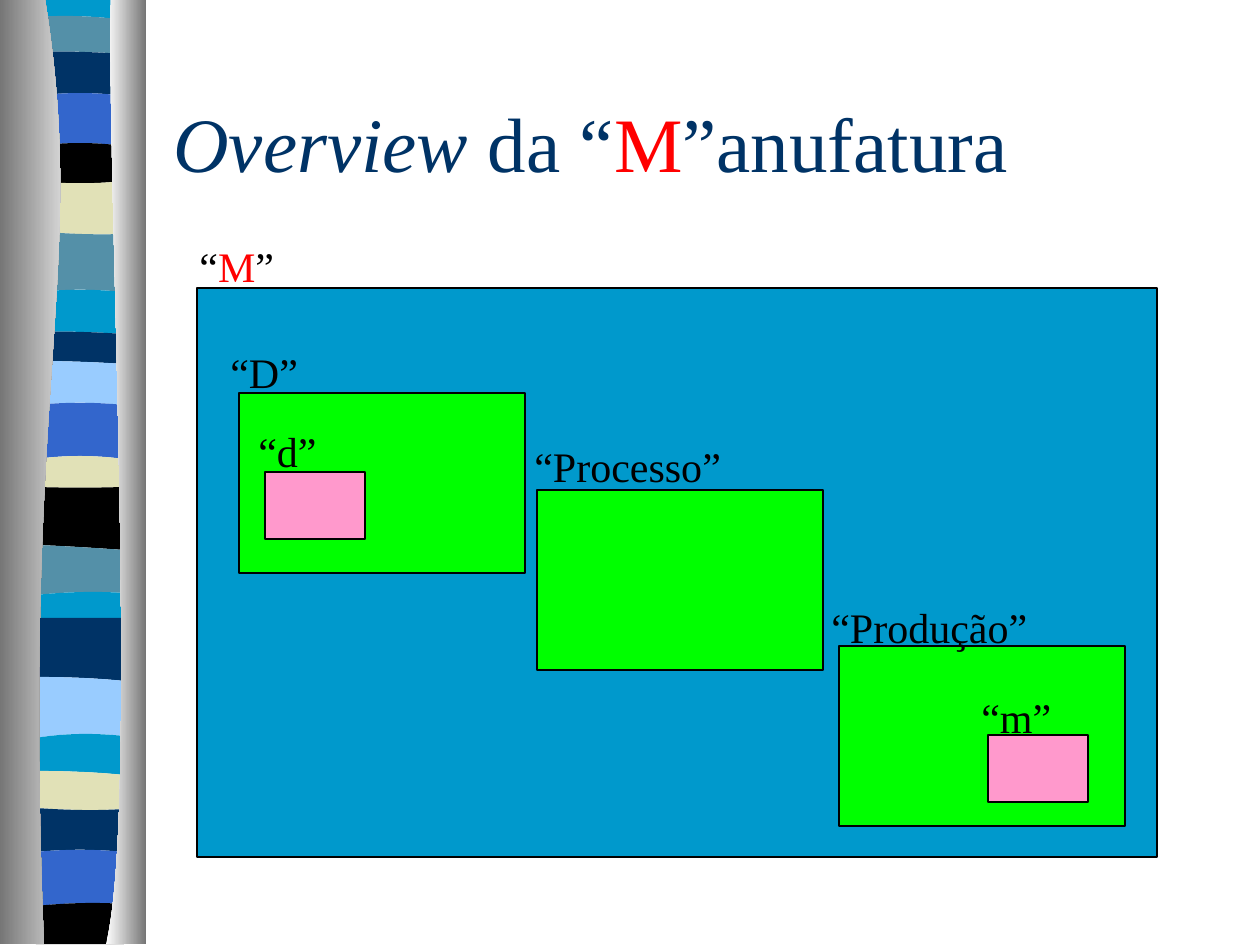
from pptx import Presentation
from pptx.dml.color import RGBColor
from pptx.enum.shapes import MSO_SHAPE as Preset
from pptx.enum.text import MSO_ANCHOR as Anchor
from pptx.oxml.ns import qn
from pptx.util import Emu, Pt

SCALE = 914400 / 126
FONT = "Times New Roman"
BLACK, RED, WHITE, GREY = "000000", "FF0000", "FFFFFF", "767676"
NAVY, SKY, TEAL, BLUE = "003366", "0099CC", "5490A8", "3366CC"
SAND, PALE, GREEN, PINK = "E1E1B7", "99CCFF", "00FF00", "FF99CC"

BANDS = [
    (SKY, (-1, -1, -1)), (TEAL, (17, 16, 20)), (NAVY, (52, 52, 54)),
    (BLUE, (96, 93, 96)), (BLACK, (146, 143, 146)), (SAND, (181, 183, 181)),
    (TEAL, (231, 234, 234)), (SKY, (292, 290, 292)), (NAVY, (332, 332, 334)),
    (PALE, (361, 362, 364)), (BLUE, (405, 403, 405)), (SAND, (459, 456, 459)),
    (BLACK, (487, 488, 487)), (TEAL, (545, 547, 550)), (SKY, (595, 592, 593)),
    (NAVY, (618, 618, 618)), (PALE, (677, 678, 681)), (SKY, (738, 734, 736)),
    (SAND, (771, 772, 775)), (NAVY, (808, 810, 809)), (BLUE, (852, 850, 852)),
    (BLACK, (906, 903, 904)),
]


def px(value):
    """Turn px into EMU."""
    return Emu(round(value * SCALE))


def color(value):
    """Turn a hex string into a colour."""
    return RGBColor.from_string(value)


def add_outline(slide, start, segments):
    """Add a closed outline of lines (one point) and cubic curves (three points)."""
    builder = slide.shapes.build_freeform(*start, scale=SCALE)
    points = [point for segment in segments for point in segment]
    builder.add_line_segments(points, close=True)
    shape = builder.convert_to_shape()
    lines = iter(list(shape._element.iter(qn("a:lnTo"))))
    for segment in segments:
        parts = [next(lines) for _ in segment]
        if len(parts) == 3:
            cubic = parts[0].makeelement(qn("a:cubicBezTo"))
            parts[0].addprevious(cubic)
            for part in parts:
                cubic.append(part[0])
                part.getparent().remove(part)
    shape.shadow.inherit = False
    shape.line.fill.background()
    return shape


def band_edge(left, width, heights):
    """Return the four curve points through left, middle and right heights."""
    start, middle, end = heights
    control = 2 * middle - (start + end) / 2
    return [
        (left, start),
        (left + width / 3, (start + 2 * control) / 3),
        (left + width * 2 / 3, (end + 2 * control) / 3),
        (left + width, end),
    ]


def add_curtain(slide, start, segments, colors):
    """Add a curtain shaded from left to right."""
    fill = add_outline(slide, start, segments).fill
    fill.gradient()
    fill.gradient_angle = 0
    for stop, value in zip(fill.gradient_stops, colors):
        stop.color.rgb = color(value)


def add_side_strip(slide, left, top, width, height):
    """Add the striped strip between two curtains."""
    bottom, right = top + height, left + width
    edges = [heights for _, heights in BANDS[1:]] + [(bottom,) * 3]
    for (fill, upper), lower in zip(BANDS, edges):
        start, *upper_curve = band_edge(left + 36, 88, upper)
        corner, *lower_curve = band_edge(left + 36, 88, lower)[::-1]
        shape = add_outline(slide, start, [upper_curve, [corner], lower_curve])
        shape.fill.solid()
        shape.fill.fore_color.rgb = color(fill)
    left_curve = [(left + 89, top + 273), (left + 21, top + 374), (left + 44, bottom)]
    right_curve = [(right - 40, top + 159), (right - 6, top + 815), (right - 40, bottom)]
    add_curtain(slide, (left + 45, top),
                [left_curve, [(left, bottom)], [(left, top)]], (GREY, WHITE))
    add_curtain(slide, (right - 35, top),
                [right_curve, [(right, bottom)], [(right, top)]], (WHITE, GREY))


def add_text(slide, box, runs, size, anchor=Anchor.TOP, inset=12):
    """Add one line of text from (text, colour, italic) runs."""
    frame = slide.shapes.add_textbox(*map(px, box)).text_frame
    frame.word_wrap = True
    frame.vertical_anchor = anchor
    frame.margin_top, frame.margin_bottom = px(inset), 0
    paragraph = frame.paragraphs[0]
    for text, value, italic in runs:
        run = paragraph.add_run()
        run.text = text
        run.font.name = FONT
        run.font.size = Pt(size)
        run.font.italic = italic
        run.font.color.rgb = color(value)


def add_block(slide, box, fill):
    """Add a filled rectangle with a thin black line."""
    shape = slide.shapes.add_shape(Preset.RECTANGLE, *map(px, box))
    shape.shadow.inherit = False
    shape.fill.solid()
    shape.fill.fore_color.rgb = color(fill)
    shape.line.color.rgb = color(BLACK)
    shape.line.width = Pt(0.75)


def add_title(slide, left, top, width, height):
    """Add the slide title."""
    runs = [("Overview", NAVY, True), (" da “", NAVY, False),
            ("M", RED, False), ("”anufatura", NAVY, False)]
    add_text(slide, (left, top, width, height), runs, 44, Anchor.MIDDLE, 0)


def add_diagram(slide, left, top, width, height):
    """Add the nested blocks and their labels."""
    add_block(slide, (left, top, width, height), SKY)
    stage, part = (286, 180), (100, 67)
    blocks = [
        (42, 105, stage, GREEN), (340, 202, stage, GREEN), (642, 358, stage, GREEN),
        (68, 184, part, PINK), (791, 447, part, PINK),
    ]
    for x, y, size, fill in blocks:
        add_block(slide, (left + x, top + y, *size), fill)
    labels = [
        (-10, -59, 136, [("“", BLACK), ("M", RED), ("”", BLACK)]),
        (21, 47, 136, [("“D”", BLACK)]),
        (325, 141, 215, [("“Processo”", BLACK)]),
        (622, 302, 252, [("“Produção”", BLACK)]),
        (49, 126, 136, [("“d”", BLACK)]),
        (772, 392, 136, [("“m”", BLACK)]),
    ]
    for x, y, label_width, parts in labels:
        runs = [(text, value, False) for text, value in parts]
        add_text(slide, (left + x, top + y, label_width, 63), runs, 24)


def main():
    """Build and save the presentation."""
    presentation = Presentation()
    presentation.slide_width, presentation.slide_height = px(1260), px(945)
    slide = presentation.slides.add_slide(presentation.slide_layouts[6])
    add_side_strip(slide, 0, -1, 146, 945)
    add_title(slide, 161, 63, 1071, 158)
    add_diagram(slide, 197, 288, 960, 569)
    presentation.save("out.pptx")


if __name__ == "__main__":
    main()
